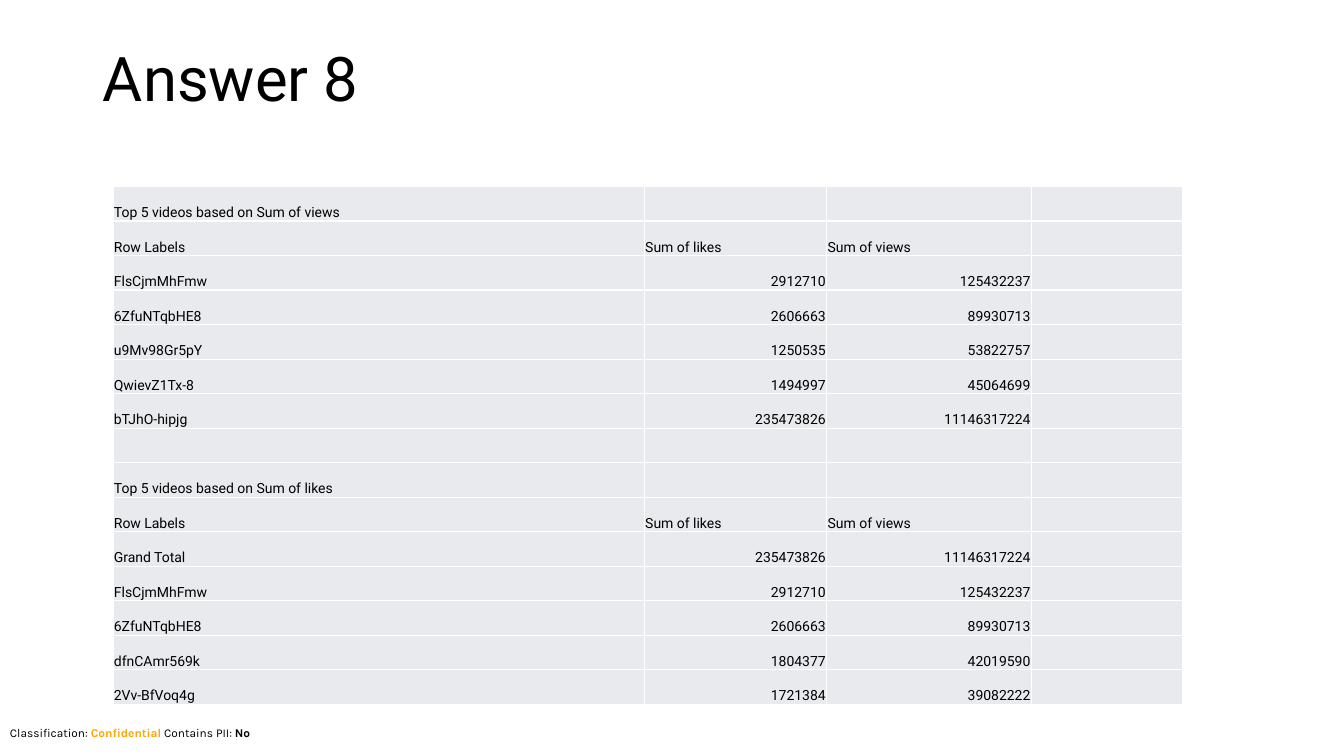
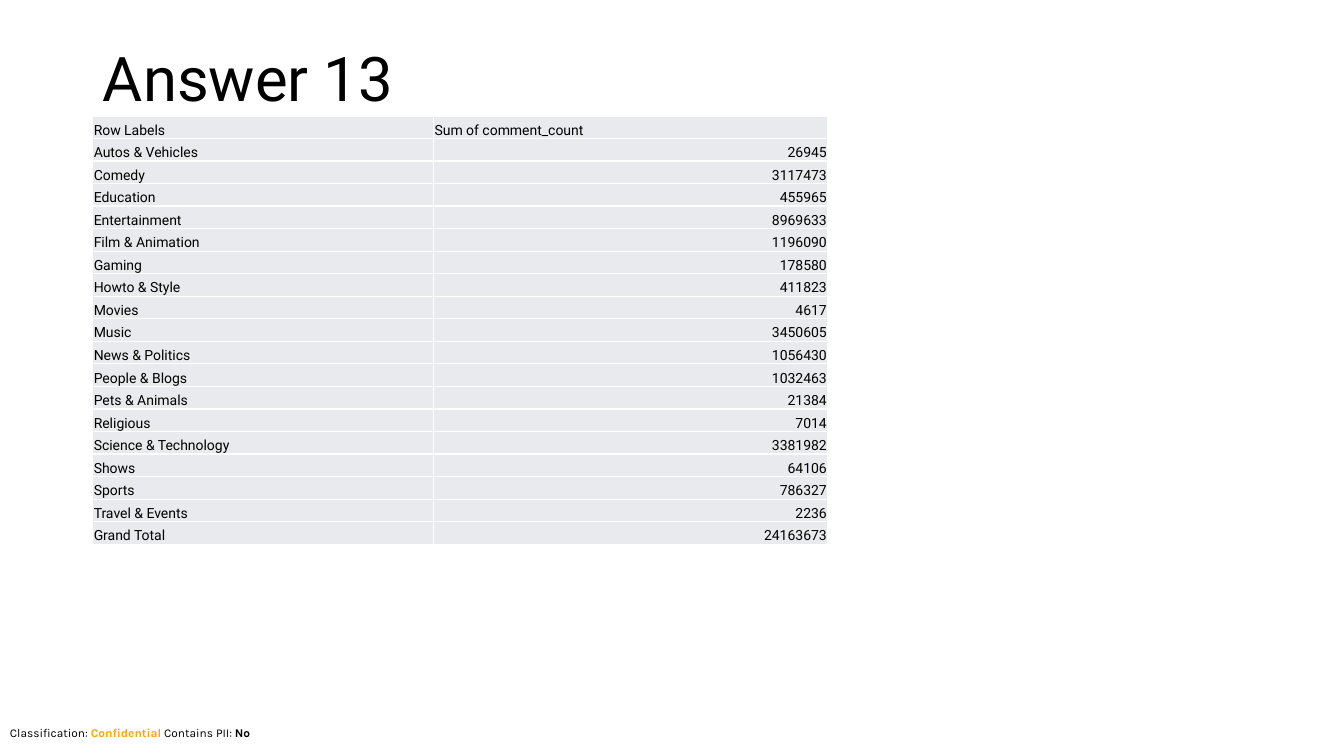
import pptx
import pptx.dml.color
import pptx.enum.text
import pptx.util

Inches = pptx.util.Inches
Pt = pptx.util.Pt
ALIGN = pptx.enum.text.PP_ALIGN
ANCHOR = pptx.enum.text.MSO_ANCHOR

# Shared look
BLACK, ORANGE, CELL_GREY = "000000", "FFA500", "E8EAED"
TITLE_FONT = TABLE_FONT = "Roboto"
FOOTER_FONT = "Karla"
TITLE_BOX = (0.92, 0.4, 11.5, 1.45)
FOOTER_BOX = (0, 7.15, 13.33, 0.24)
FOOTER_SPANS = [("Classification: ", BLACK, False), ("Confidential", ORANGE, True),
                (" Contains PII: ", BLACK, False), ("No", BLACK, True)]

# Table contents
VIDEO_HEADER = ("Row Labels", "Sum of likes", "Sum of views")
VIDEO_ROWS = [
    ("Top 5 videos based on Sum of views",),
    VIDEO_HEADER,
    ("FlsCjmMhFmw", 2912710, 125432237),
    ("6ZfuNTqbHE8", 2606663, 89930713),
    ("u9Mv98Gr5pY", 1250535, 53822757),
    ("QwievZ1Tx-8", 1494997, 45064699),
    ("bTJhO-hipjg", 235473826, 11146317224),
    (),
    ("Top 5 videos based on Sum of likes",),
    VIDEO_HEADER,
    ("Grand Total", 235473826, 11146317224),
    ("FlsCjmMhFmw", 2912710, 125432237),
    ("6ZfuNTqbHE8", 2606663, 89930713),
    ("dfnCAmr569k", 1804377, 42019590),
    ("2Vv-BfVoq4g", 1721384, 39082222),
]
COMMENT_ROWS = [
    ("Row Labels", "Sum of comment_count"),
    ("Autos & Vehicles", 26945),
    ("Comedy", 3117473),
    ("Education", 455965),
    ("Entertainment", 8969633),
    ("Film & Animation", 1196090),
    ("Gaming", 178580),
    ("Howto & Style", 411823),
    ("Movies", 4617),
    ("Music", 3450605),
    ("News & Politics", 1056430),
    ("People & Blogs", 1032463),
    ("Pets & Animals", 21384),
    ("Religious", 7014),
    ("Science & Technology", 3381982),
    ("Shows", 64106),
    ("Sports", 786327),
    ("Travel & Events", 2236),
    ("Grand Total", 24163673),
]


def color(value):
    return pptx.dml.color.RGBColor.from_string(value)


def set_font(font, name, size, value, bold=False):
    font.name, font.size, font.bold = name, Pt(size), bold
    font.color.rgb = color(value)


def add_title(page, text, box):
    title = page.shapes.title
    title.left, title.top, title.width, title.height = map(Inches, box)
    frame = title.text_frame
    frame.text = text
    frame.vertical_anchor = ANCHOR.TOP
    frame.margin_top = Inches(0.08)
    para = frame.paragraphs[0]
    para.alignment = ALIGN.LEFT
    para.line_spacing = 0.9
    set_font(para.font, TITLE_FONT, 44, BLACK)


def add_footer(page, box):
    frame = page.shapes.add_textbox(*map(Inches, box)).text_frame
    frame.word_wrap = True
    for text, value, bold in FOOTER_SPANS:
        span = frame.paragraphs[0].add_run()
        span.text = text
        set_font(span.font, FOOTER_FONT, 8.5, value, bold)


def fill_cell(cell, value):
    cell.fill.solid()
    cell.fill.fore_color.rgb = color(CELL_GREY)
    cell.vertical_anchor = ANCHOR.BOTTOM
    cell.margin_left = cell.margin_right = cell.margin_top = Inches(0.01)
    cell.margin_bottom = 0
    cell.text = str(value)
    para = cell.text_frame.paragraphs[0]
    para.alignment = ALIGN.RIGHT if isinstance(value, int) else ALIGN.LEFT
    set_font(para.font, TABLE_FONT, 10, BLACK)


def add_data_table(page, rows, column_widths, box):
    """Rows share the height of the box; short rows end in empty cells."""
    table = page.shapes.add_table(len(rows), len(column_widths), *map(Inches, box)).table
    table.first_row = table.horz_banding = False
    for column, width in zip(table.columns, column_widths):
        column.width = Inches(width)
    for row, values in zip(table.rows, rows):
        row.height = Inches(box[3] / len(rows))
        padded = values + ("",) * (len(column_widths) - len(values))
        for cell, value in zip(row.cells, padded):
            fill_cell(cell, value)


def add_answer_page(deck, title, rows, column_widths, table_box):
    page = deck.slides.add_slide(deck.slide_layouts[5])
    add_footer(page, FOOTER_BOX)
    add_title(page, title, TITLE_BOX)
    add_data_table(page, rows, column_widths, table_box)


def main():
    deck = pptx.Presentation()
    deck.slide_width, deck.slide_height = Inches(13.33), Inches(7.5)
    add_answer_page(deck, "Answer 8", VIDEO_ROWS, (5.27, 1.81, 2.03, 1.5),
                    (1.12, 1.85, 10.6, 5.14))
    add_answer_page(deck, "Answer 13", COMMENT_ROWS, (3.38, 3.91),
                    (0.92, 1.15, 7.29, 4.25))
    deck.save("out.pptx")


if __name__ == "__main__":
    main()
